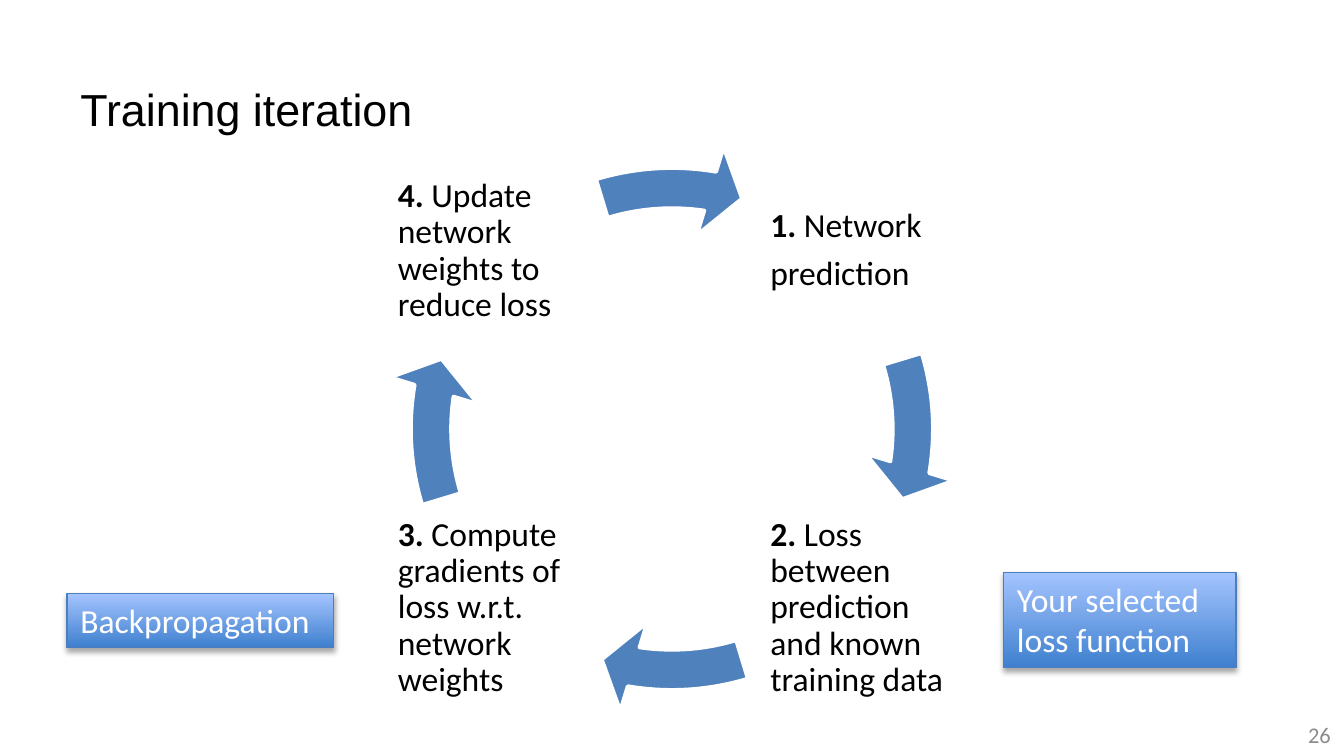
from lxml.etree import SubElement
from pptx import Presentation
from pptx.dml.color import RGBColor
from pptx.enum.shapes import MSO_SHAPE
from pptx.enum.text import MSO_ANCHOR, MSO_AUTO_SIZE, PP_ALIGN
from pptx.oxml.ns import qn
from pptx.util import Cm, Pt

BLACK = RGBColor(0x00, 0x00, 0x00)
WHITE = RGBColor(0xFF, 0xFF, 0xFF)
GRAY = RGBColor(0x8C, 0x8C, 0x8C)
BLUE = RGBColor(0x4F, 0x81, 0xBD)
EDGE = RGBColor(0x4B, 0x7E, 0xBC)
DARK = RGBColor(0x3F, 0x80, 0xCE)
LIGHT = RGBColor(0xA4, 0xC4, 0xFF)

LEFT, RIGHT = 7.52, 14.05
TOP, LOW = 2.95, 9.45
STEPS = [
    (RIGHT, TOP, ["1. Network", "prediction"]),
    (RIGHT, LOW, ["2. Loss between prediction and known training data"]),
    (LEFT, LOW, ["3. Compute gradients of loss w.r.t. network weights"]),
    (LEFT, TOP, ["4. Update network weights to reduce loss"]),
]
NOTES = [
    (18.97, 10.82, 4.39, 1.8, "Your selected loss function"),
    (1.27, 11.22, 5.04, 1.02, "Backpropagation"),
]


def style(run, size, color, name="Calibri", bold=False):
    """Set the font of a run."""
    font = run.font
    font.size, font.name, font.bold = Pt(size), name, bold
    font.color.rgb = color


def add_text(slide, place, text, size, color, name="Calibri", align=PP_ALIGN.LEFT):
    """Add one line of text, centred vertically in its box."""
    frame = slide.shapes.add_textbox(*map(Cm, place)).text_frame
    frame.word_wrap = True
    frame.vertical_anchor = MSO_ANCHOR.MIDDLE
    frame.text = text
    para = frame.paragraphs[0]
    para.alignment = align
    style(para.runs[0], size, color, name)


def add_step(slide, left, top, lines):
    """Add a step of the cycle, its number in bold."""
    frame = slide.shapes.add_textbox(Cm(left), Cm(top), Cm(3.84), Cm(3.84)).text_frame
    frame.word_wrap = True
    frame.vertical_anchor = MSO_ANCHOR.MIDDLE
    frame.margin_left = Cm(0.51 if left == RIGHT else 0)
    frame.margin_right = Cm(0.51 if left == LEFT else 0)
    frame.margin_top = Cm(0.25 if top == LOW else 0)
    frame.margin_bottom = Cm(0.25 if top == TOP else 0)
    frame.text = "\n".join(lines)
    for para in frame.paragraphs:
        para.line_spacing = 0.9
        para.space_after = Pt(6.3)
        style(para.runs[0], 18, BLACK)
    first = frame.paragraphs[0]
    mark, rest = first.text.split(" ", 1)
    first.runs[0].text = mark
    first.runs[0].font.bold = True
    tail = first.add_run()
    tail.text = " " + rest
    style(tail, 18, BLACK)


def add_arrow(slide, turn):
    """Add a curved arrow, turned by a number of quarters."""
    arrow = slide.shapes.add_shape(
        MSO_SHAPE.CIRCULAR_ARROW, Cm(7.28), Cm(2.69), Cm(10.84), Cm(10.84))
    shift = 54 * turn
    values = (0.07, 4.66, 5.49 + shift, (205.86 + shift) % 216, 0.08)
    for index, value in enumerate(values):
        arrow.adjustments[index] = value
    arrow.shadow.inherit = False
    arrow.fill.solid()
    arrow.fill.fore_color.rgb = BLUE
    arrow.line.color.rgb = WHITE
    arrow.line.width = Pt(2)


def add_shade(shape):
    """Give a shape a soft shadow below it."""
    shape.shadow.inherit = False
    effects = shape._element.spPr.find(qn("a:effectLst"))
    shade = SubElement(effects, qn("a:outerShdw"), blurRad=str(Pt(3.1)),
                       dist=str(Pt(1.8)), dir="5400000", rotWithShape="0")
    color = SubElement(shade, qn("a:srgbClr"), val=str(BLACK))
    SubElement(color, qn("a:alpha"), val="35000")


def add_note(slide, left, top, width, height, text):
    """Add a shaded box with a white note."""
    box = slide.shapes.add_shape(
        MSO_SHAPE.RECTANGLE, Cm(left), Cm(top), Cm(width), Cm(height))
    box.fill.gradient()
    box.fill.gradient_angle = 90
    for stop, color, spot in zip(box.fill.gradient_stops, (DARK, LIGHT), (0, 1)):
        stop.color.rgb = color
        stop.position = spot
    box.line.color.rgb = EDGE
    box.line.width = Pt(0.75)
    add_shade(box)
    frame = box.text_frame
    frame.word_wrap = True
    frame.auto_size = MSO_AUTO_SIZE.SHAPE_TO_FIT_TEXT
    frame.vertical_anchor = MSO_ANCHOR.TOP
    frame.text = text
    para = frame.paragraphs[0]
    para.alignment = PP_ALIGN.LEFT
    style(para.runs[0], 18, WHITE)


def main():
    """Build the slide and save it."""
    deck = Presentation()
    deck.slide_width, deck.slide_height = Cm(25.4), Cm(14.29)
    slide = deck.slides.add_slide(deck.slide_layouts[6])
    add_text(slide, (19.69, 13.51, 5.71, 0.76), "26", 12, GRAY, align=PP_ALIGN.RIGHT)
    for turn, step in enumerate(STEPS):
        add_step(slide, *step)
        add_arrow(slide, turn)
    add_text(slide, (1.27, 1.42, 22.86, 1.27), "Training iteration", 24, BLACK, "Arial")
    for note in NOTES:
        add_note(slide, *note)
    deck.save("out.pptx")


if __name__ == "__main__":
    main()
